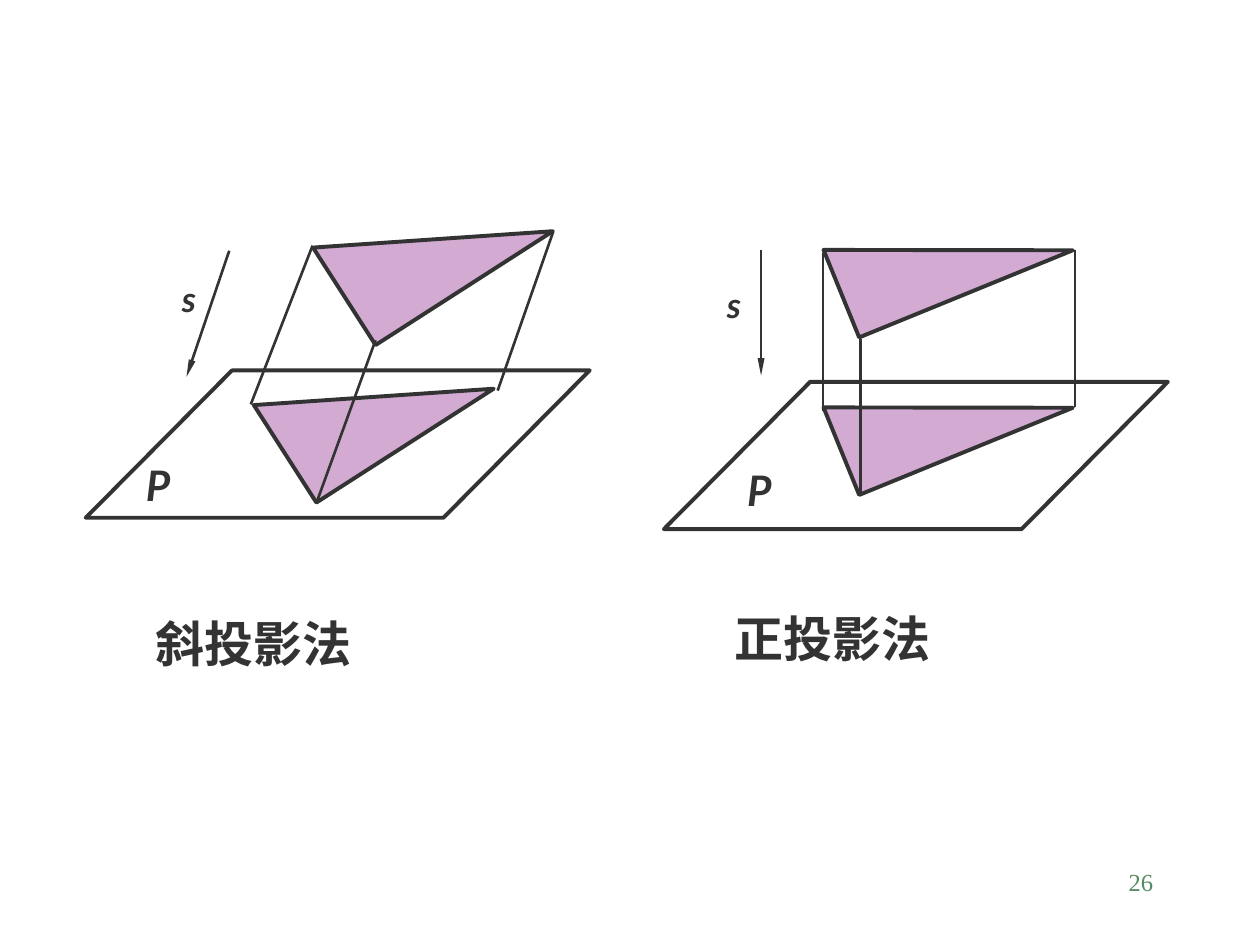
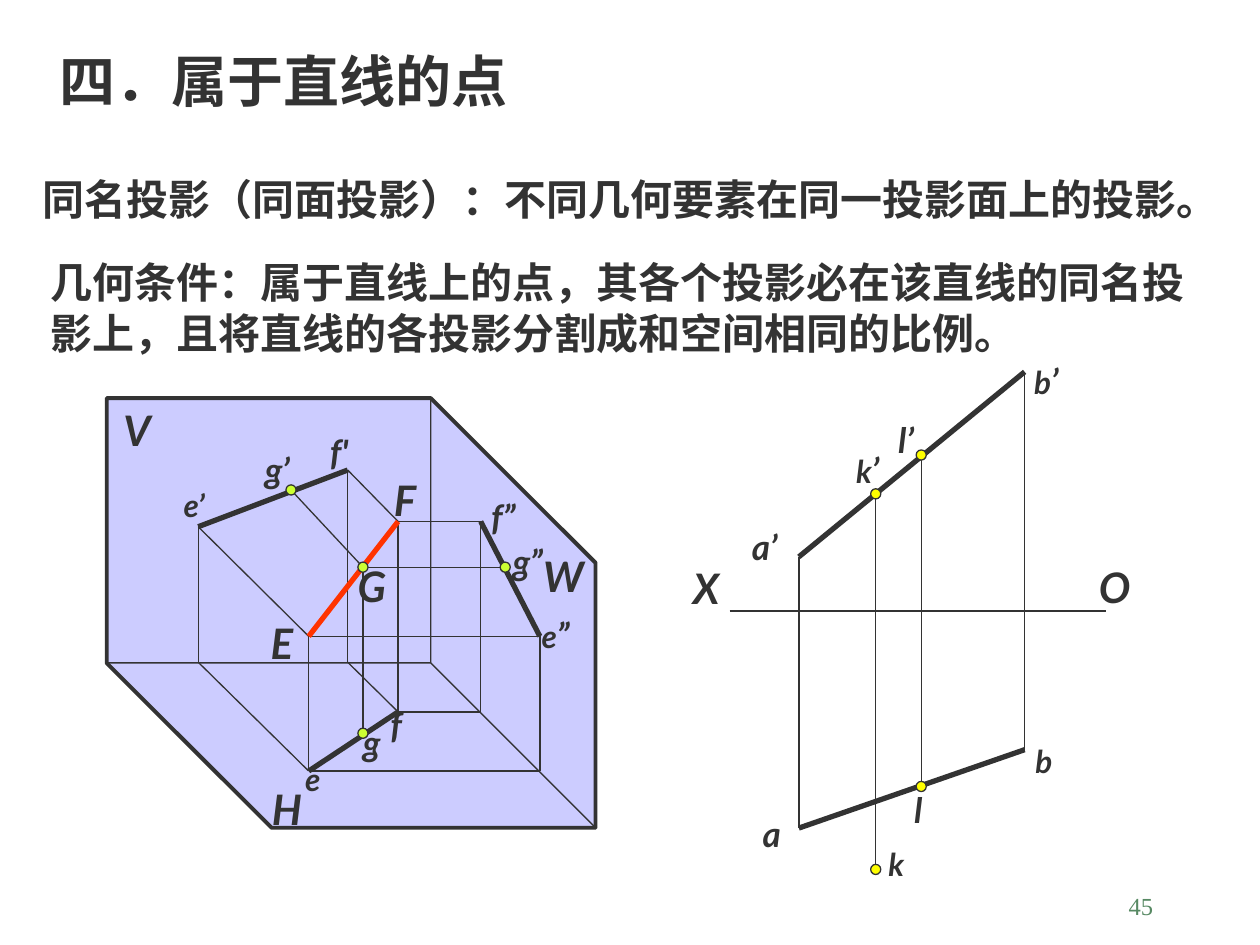
from lxml.etree import SubElement
from pptx import Presentation
from pptx.dml.color import RGBColor
from pptx.enum.shapes import MSO_CONNECTOR, MSO_SHAPE
from pptx.enum.text import MSO_ANCHOR, MSO_AUTO_SIZE, PP_ALIGN
from pptx.oxml.ns import qn
from pptx.util import Pt

LEFT, CENTER, RIGHT = PP_ALIGN.LEFT, PP_ALIGN.CENTER, PP_ALIGN.RIGHT
COLORS = {
    "ink": "333333", "page": "578963", "triangle": "D2AAD2", "plane": "CCCCFF",
    "space_line": "FF3300", "space_dot": "CCFF33", "view_dot": "FFFF00",
}
FORMATS = {
    "page": {"name": "Times New Roman"},
    "chinese": {"name": "Times New Roman", "bold": True},
    "title": {"name": "Noto Sans CJK SC", "bold": True},
    "label": {"name": "Lato", "bold": True, "italic": True},
}


def add_text(slide, box, runs, style, align=LEFT, color="ink", holder=None):
    """Write (text, size) runs into holder, or into a new text box."""
    holder = holder or slide.shapes.add_textbox(0, 0, 0, 0)
    for side, length in zip(("left", "top", "width", "height"), box):
        setattr(holder, side, Pt(length))
    frame = holder.text_frame
    frame.auto_size = MSO_AUTO_SIZE.NONE
    frame.word_wrap = True
    frame.vertical_anchor = MSO_ANCHOR.TOP
    paragraph = frame.paragraphs[0]
    paragraph.alignment = align
    for text, size in runs:
        run = paragraph.add_run()
        run.text = text
        run.font.size = Pt(size)
        run.font.color.rgb = RGBColor.from_string(COLORS[color])
        for name, value in FORMATS[style].items():
            setattr(run.font, name, value)
        SubElement(run.font._element, qn("a:ea"), typeface="Lato")


def paint(shape, width, fill=None, line="ink"):
    """Set outline and optional fill, and drop the theme shadow."""
    shape.line.color.rgb = RGBColor.from_string(COLORS[line])
    shape.line.width = Pt(width)
    if fill:
        shape.fill.solid()
        shape.fill.fore_color.rgb = RGBColor.from_string(COLORS[fill])
    SubElement(shape._element.spPr, qn("a:effectLst"))


prs = Presentation()
prs.slide_width, prs.slide_height = Pt(720), Pt(540)

# Slide 1: oblique and orthographic projection
methods = prs.slides.add_slide(prs.slide_layouts[6])
panels = [
    {
        "caption": ("斜投影法", 82, 347), "plane": (49, 211.7),
        "P": (73.4, 259), "s": (91, 154.8),
        "triangles": [(187.2, 103.7), (153.4, 193.7)],
        "triangle_size": (120.4, 66.2), "rotation": 327.3,
        "rays": [(143.3, 231.1, 178.6, 140.4), (284.4, 223.2, 316.1, 132.5),
                 (181.4, 285.8, 214.6, 194.4)],
        "direction": (131, 143.3, 106.6, 215.3),
    },
    {
        "caption": ("正投影法", 412.6, 344.2), "plane": (379.4, 218.2),
        "P": (416.9, 262.1), "s": (402.5, 158.4),
        "triangles": [(475.9, 115.9), (475.9, 205.9)],
        "triangle_size": (131.8, 54), "rotation": 337.8,
        "rays": [(470.2, 144.7, 470.2, 234.7), (491.8, 193.7, 491.8, 283.7),
                 (614.2, 142.6, 614.2, 232.6)],
        "direction": (434.9, 142.6, 434.9, 214.6),
    },
]
for panel in panels:
    plane = methods.shapes.add_shape(
        MSO_SHAPE.PARALLELOGRAM, *map(Pt, (*panel["plane"], 288, 84.2)))
    plane.adjustments[0] = 0.993
    plane.fill.background()
    paint(plane, 2.25)
    for corner in panel["triangles"]:
        triangle = methods.shapes.add_shape(
            MSO_SHAPE.RIGHT_TRIANGLE, *map(Pt, corner + panel["triangle_size"]))
        triangle.rotation = panel["rotation"]
        paint(triangle, 2.25, "triangle")
    for ends in panel["rays"] + [panel["direction"]]:
        ray = methods.shapes.add_connector(MSO_CONNECTOR.STRAIGHT, *map(Pt, ends))
        paint(ray, 1.5)
    # The last line is the direction of projection
    SubElement(ray.line._get_or_add_ln(), qn("a:tailEnd"), type="triangle", w="sm", len="lg")
    add_text(methods, (*panel["P"], 34, 36), [("P", 24)], "label", CENTER)
    add_text(methods, (*panel["s"], 34, 31.2), [("s", 20)], "label", CENTER)
    caption, left, top = panel["caption"]
    add_text(methods, (left, top, 198, 41), [(caption, 28)], "chinese")

# Slide 2: points on a line
points_on_line = prs.slides.add_slide(prs.slide_layouts[5])
add_text(points_on_line, (26.6, 23, 693.4, 45.4), [("四．属于直线的点", 32)], "title",
         holder=points_on_line.shapes.title)
add_text(points_on_line, (17.3, 95.8, 702.7, 36),
         [("同名投影（同面投影）：不同几何要素在同一投影面上的投影。", 24)], "chinese")
add_text(points_on_line, (21.6, 143.3, 666, 64.8),
         [("几何条件：属于直线上的点，其各个投影必在该直线的同名投影上，"
           "且将直线的各投影分割成和空间相同的比例。", 24)], "chinese")

# Corners of the three projection planes
v_left, v_right, w_right, h_left = 61, 246.2, 340.3, 155.2
v_top, v_bottom, w_top, h_bottom = 227.5, 378.9, 321.6, 473
top_left, top_mid = (v_left, v_top), (v_right, v_top)
mid_left, origin = (v_left, v_bottom), (v_right, v_bottom)
w_corner, far_corner, h_corner = (w_right, w_top), (w_right, h_bottom), (h_left, h_bottom)
outlines = [
    ([top_left, top_mid, origin, mid_left], 0.75, "plane"),
    ([top_mid, origin, far_corner, w_corner], 0.75, "plane"),
    ([mid_left, origin, far_corner, h_corner], 0.75, "plane"),
    ([top_left, top_mid, w_corner, far_corner, h_corner, mid_left], 2.25, None),
]
for corners, width, fill in outlines:
    (start_x, start_y), *others = [(Pt(x), Pt(y)) for x, y in corners]
    builder = points_on_line.shapes.build_freeform(start_x, start_y)
    builder.add_line_segments(others, close=True)
    outline = builder.convert_to_shape()
    if not fill:
        outline.fill.background()
    paint(outline, width, fill)

# Points of both drawings; ex, fx, ey and fy are feet on the axes
points = {
    "E": (176.4, 363.6), "F": (227.5, 298), "G": (207.4, 324.1),
    "e’": (113.3, 301), "f’": (198.7, 268.6), "g’": (166.3, 280),
    "e”": (308.5, 363.6), "f”": (274.7, 298), "g”": (288.7, 324.1),
    "e": (176.4, 440.6), "f": (227.5, 406.8), "g": (207.4, 419),
    "ex": (113.3, 378.4), "fx": (198.7, 378.4),
    "ey": (308.5, 440.6), "fy": (274.7, 406.8),
    "X": (417, 349.2), "O": (632, 349.2),
    "a’": (456.5, 318.2), "a": (456.5, 473.2),
    "b’": (585.5, 212.5), "b": (585.5, 428.4),
    "k’": (500.4, 282.2), "k": (500.4, 496.8),
    "l’": (526.4, 260), "l": (526.4, 449.4),
}
thin_lines = ("E-e E-e’ E-e” F-f F-f’ F-f” G-g G-g’ G-g” e-ex ex-e’ f-fx fx-f’ "
              "f-fy fy-f” e-ey ey-e” X-O a-a’ b-b’ k-k’ l-l’")
line_sets = [
    (thin_lines, 0.75, "ink"),
    ("e-f e’-f’ e”-f” a-b a’-b’", 3, "ink"),
    ("E-F", 3, "space_line"),
]
for names, width, color in line_sets:
    for name in names.split():
        start, end = name.split("-")
        edge = points_on_line.shapes.add_connector(
            MSO_CONNECTOR.STRAIGHT, *map(Pt, points[start] + points[end]))
        paint(edge, width, line=color)

DOT = 5.8
for names, fill in [("G g g’ g”", "space_dot"), ("k k’ l l’", "view_dot")]:
    for name in names.split():
        x, y = points[name]
        dot = points_on_line.shapes.add_shape(
            MSO_SHAPE.FLOWCHART_CONNECTOR, *map(Pt, (x - DOT / 2, y - DOT / 2, DOT, DOT)))
        paint(dot, 0.75, fill)

# Each label: runs, left, top, width
labels = {
    CENTER: [
        ([("X", 24)], 386, 318.2, 35), ([("O", 24)], 618.5, 317.5, 37),
        ([("a", 20)], 424, 460.8, 34), ([("b", 18)], 571, 420.5, 51),
        ([("l", 20)], 503.3, 447.1, 43), ([("l’", 20)], 490.3, 235.4, 55),
        ([("k", 18)], 497.2, 479.5, 30), ([("k", 18), ("’", 20)], 467.3, 252.7, 57),
        ([("W", 24)], 301, 311, 42), ([("H", 24)], 143, 444.2, 42),
        ([("F", 24)], 214, 267.8, 35), ([("G", 24)], 190.5, 316.8, 44),
        ([("e’", 18)], 89, 274.3, 44), ([("e", 18)], 163.8, 430.6, 30),
        ([("f'", 20)], 172.8, 242.6, 42), ([("g’", 20)], 136.5, 252.7, 44),
    ],
    LEFT: [
        ([("a’", 20)], 422.6, 296.6, 52.6), ([("b", 18), ("’", 20)], 583.9, 201.6, 57.6),
        ([("V", 24)], 63.4, 227.5, 38), ([("E", 24)], 147.6, 349.2, 35),
        ([("e", 18), ("”", 20)], 302.4, 347, 39), ([("f”", 20)], 273.6, 279.4, 38),
        ([("g”", 20)], 285.8, 305.3, 40), ([("g", 20)], 200.2, 409, 32),
        ([("f", 20)], 216, 398.2, 30),
    ],
}
for align, entries in labels.items():
    for runs, left, top, width in entries:
        height = 1.2 * max(size for _, size in runs) + 7.2
        add_text(points_on_line, (left, top, width, height), runs, "label", align)

for slide, number, top in [(methods, "26", 491.8), (points_on_line, "45", 505.4)]:
    add_text(slide, (516.2, top, 149.8, 36), [(number, 14)], "page", RIGHT, "page")

prs.save("out.pptx")
